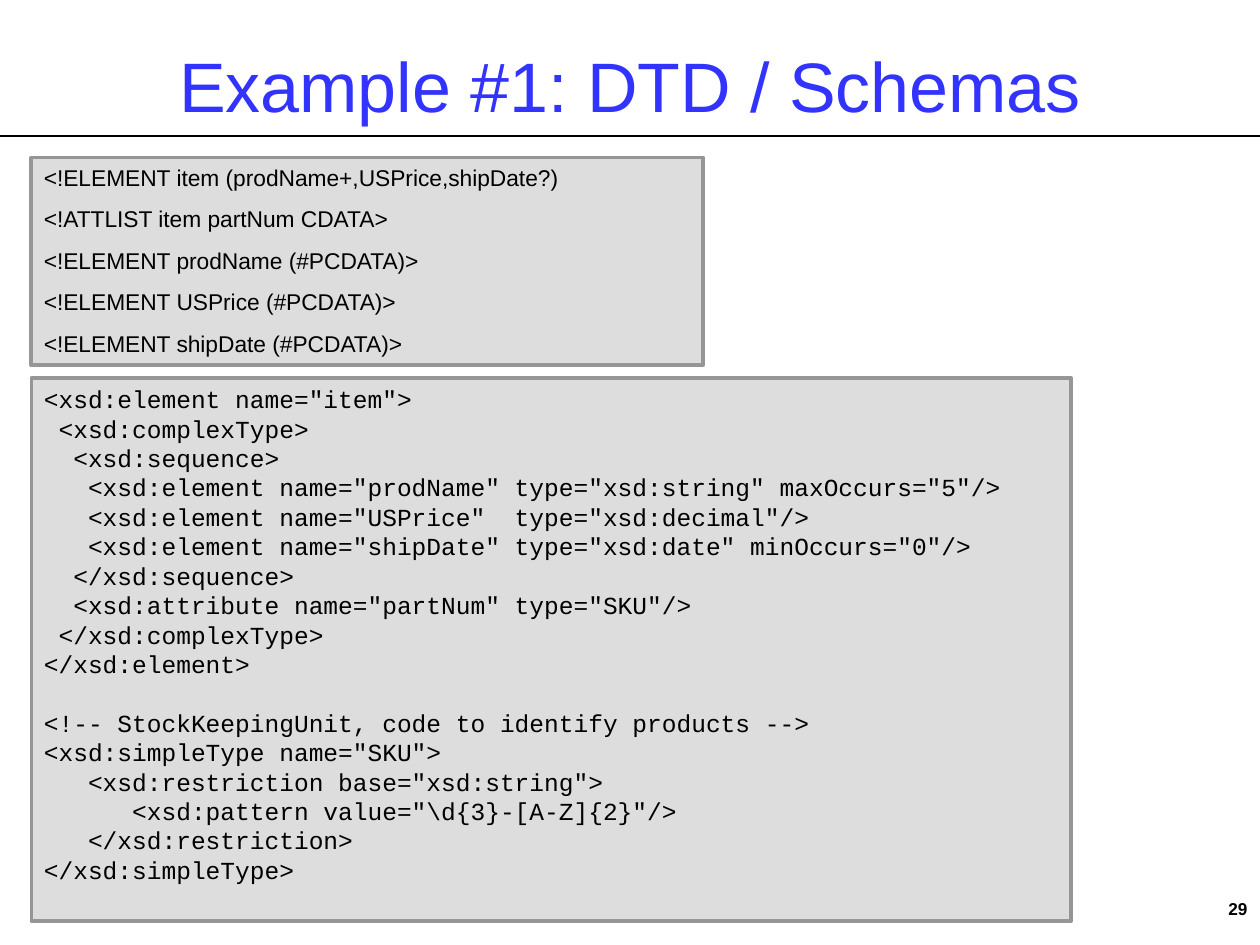
from pptx import Presentation, util as u
from pptx.dml.color import RGBColor
from pptx.enum import shapes, text
from pptx.oxml.ns import qn
from lxml import etree

# Content
TITLE = "Example #1: DTD / Schemas"
PAGE = "29"
DTD = [
    "<!ELEMENT item (prodName+,USPrice,shipDate?)",
    "<!ATTLIST item partNum CDATA>",
    "<!ELEMENT prodName (#PCDATA)>",
    "<!ELEMENT USPrice (#PCDATA)>",
    "<!ELEMENT shipDate (#PCDATA)>",
]
ITEM = [
    '<xsd:element name="item">',
    ' <xsd:complexType>\n  <xsd:sequence>',
    '   <xsd:element name="prodName" type="xsd:string" maxOccurs="5"/>',
    '   <xsd:element name="USPrice"  type="xsd:decimal"/>',
    '   <xsd:element name="shipDate" type="xsd:date" minOccurs="0"/>',
    '  </xsd:sequence>',
    '  <xsd:attribute name="partNum" type="SKU"/>',
    ' </xsd:complexType>\n</xsd:element>',
]
SKU = [
    '<!-- StockKeepingUnit, code to identify products -->',
    '<xsd:simpleType name="SKU">',
    '   <xsd:restriction base="xsd:string">',
    '      <xsd:pattern value="\\d{3}-[A-Z]{2}"/>',
    '   </xsd:restriction>',
    '</xsd:simpleType>',
]

THEME = {
    "ink": "000000", "title": "3333FF", "fill": "DDDDDD", "edge": "969696",
    "sans": "Arial", "mono": "Courier New",
    "big": 40, "dtd": 13, "code": 14, "page": 9.8,
    "lead": 1.2, "gap": 8.1, "rule": 0.75, "frame": 2.25,
}
ALIGN = text.PP_ALIGN


def color(key):
    return RGBColor.from_string(THEME[key])


def write(box, lines, size, font="sans", ink="ink", align=ALIGN.LEFT, bold=False):
    """Fill a box with one paragraph per entry and style its runs."""
    frame = box.text_frame
    frame.word_wrap = True
    frame.auto_size = text.MSO_AUTO_SIZE.NONE
    frame.vertical_anchor = text.MSO_ANCHOR.TOP
    for i, line in enumerate(lines):
        para = frame.add_paragraph() if i else frame.paragraphs[0]
        para.text = line
        para.alignment = align
        for run in para.runs:
            run.font.name = THEME[font]
            run.font.size = u.Pt(THEME[size])
            run.font.bold = bold
            run.font.color.rgb = color(ink)
    return frame


def label(slide, place, line, size, **look):
    box = slide.shapes.add_textbox(*map(u.Inches, place))
    return write(box, [line], size, **look)


def panel(slide, place, lines, size, font):
    """Grey framed box with evenly leaded text."""
    box = slide.shapes.add_shape(shapes.MSO_SHAPE.RECTANGLE, *map(u.Inches, place))
    box.shadow.inherit = False
    box.fill.solid()
    box.fill.fore_color.rgb = color("fill")
    box.line.color.rgb = color("edge")
    box.line.width = u.Pt(THEME["frame"])
    paras = write(box, lines, size, font).paragraphs
    for para in paras:
        para.line_spacing = u.Pt(THEME[size] * THEME["lead"])
    return paras


def main():
    deck = Presentation()
    deck.slide_width, deck.slide_height = u.Inches(10), u.Inches(7.5)
    slide = deck.slides.add_slide(deck.slide_layouts[6])

    # Rule under the title
    rule = slide.shapes.add_connector(
        shapes.MSO_CONNECTOR.STRAIGHT, *map(u.Inches, (0, 1.08, 10, 1.08)))
    rule.line.color.rgb = color("ink")
    rule.line.width = u.Pt(THEME["rule"])
    etree.SubElement(rule.element.spPr, qn("a:effectLst"))

    # Page number and title
    label(slide, (7.67, 7.08, 2.33, 0.27), PAGE, "page", align=ALIGN.RIGHT, bold=True)
    head = label(slide, (0.5, 0.17, 9, 1), TITLE, "big", ink="title", align=ALIGN.CENTER)
    head.vertical_anchor = text.MSO_ANCHOR.MIDDLE

    # DTD panel
    paras = panel(slide, (0.25, 1.25, 5.33, 1.65), DTD, "dtd", "sans")
    for para in paras[1:]:
        para.space_before = u.Pt(THEME["gap"])

    # Schema panel, one line of space between its two parts
    paras = panel(slide, (0.25, 3, 8.25, 4.31), ITEM + SKU, "code", "mono")
    paras[len(ITEM)].space_before = u.Pt(THEME["code"] * THEME["lead"])

    deck.save("out.pptx")


if __name__ == "__main__":
    main()
